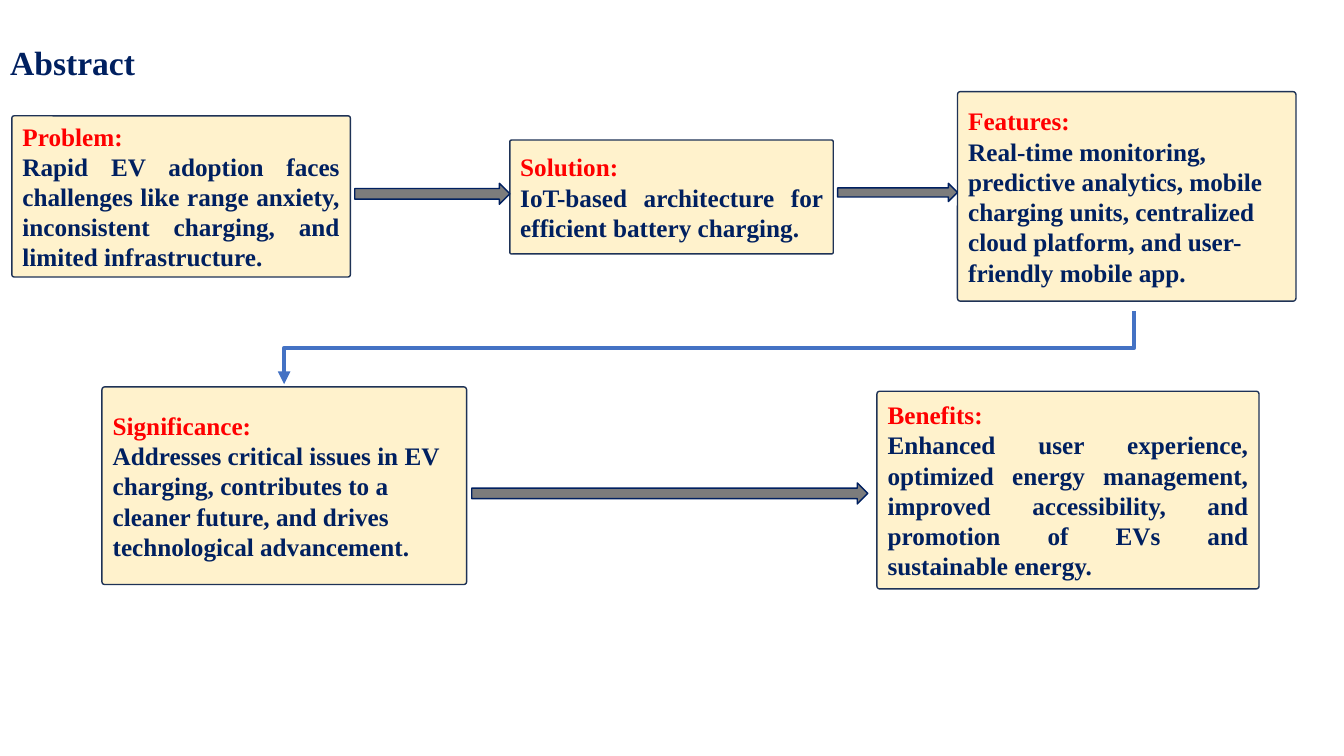
from lxml.etree import SubElement
from pptx import Presentation
from pptx.dml.color import RGBColor
from pptx.enum.shapes import MSO_CONNECTOR, MSO_SHAPE
from pptx.enum.text import MSO_ANCHOR, PP_ALIGN
from pptx.oxml.ns import qn
from pptx.util import Cm, Pt

NAVY, RED, CREAM, EDGE = "002060", "FF0000", "FFF2CC", "1E3256"
GREY, BLUE = "7C7C7C", "4472C4"
LEFT, FULL = PP_ALIGN.LEFT, PP_ALIGN.JUSTIFY


def color(code):
    return RGBColor.from_string(code)


class Board:
    """Style and current slide."""
    face = {"name": "Times New Roman", "bold": True}

    def __init__(self, slide):
        self.slide = slide

    def label(self, para, text, size, code, align=LEFT):
        para.text = text
        para.alignment = align
        for key, value in {**self.face, "size": Pt(size)}.items():
            setattr(para.font, key, value)
        para.font.color.rgb = color(code)

    def title(self, text, *place):
        head = self.slide.shapes.title
        for key, value in zip(("left", "top", "width", "height"), place):
            setattr(head, key, Cm(value))
        head.text_frame.vertical_anchor = MSO_ANCHOR.MIDDLE
        para = head.text_frame.paragraphs[0]
        self.label(para, text, 24, NAVY)
        para.line_spacing = 0.9

    def shape(self, kind, place, fill, edge):
        item = self.slide.shapes.add_shape(kind, *map(Cm, place))
        item.shadow.inherit = False
        item.fill.solid()
        item.fill.fore_color.rgb = color(fill)
        item.line.color.rgb = color(edge)
        item.line.width = Pt(1)
        return item

    def card(self, head, body, align, *place):
        box = self.shape(MSO_SHAPE.ROUNDED_RECTANGLE, place, CREAM, EDGE)
        box.adjustments[0] = 0.014
        frame = box.text_frame
        frame.word_wrap = True
        frame.vertical_anchor = MSO_ANCHOR.MIDDLE
        self.label(frame.paragraphs[0], head, 18, RED)
        self.label(frame.add_paragraph(), body, 18, NAVY, align)

    def arrow(self, *place):
        self.shape(MSO_SHAPE.RIGHT_ARROW, place, GREY, NAVY)

    def bend(self, x1, y1, x2, y2):
        """Elbow that leaves downward: drawn upright, then turned by 90°."""
        midx, midy = (x1 + x2) / 2, (y1 + y2) / 2
        halfw, halfh = (y2 - y1) / 2, (x1 - x2) / 2
        link = self.slide.shapes.add_connector(
            MSO_CONNECTOR.ELBOW, Cm(midx - halfw), Cm(midy - halfh),
            Cm(midx + halfw), Cm(midy + halfh))
        link.line.color.rgb = color(BLUE)
        link.line.width = Pt(3)
        props = link._element.spPr
        props.find(qn("a:xfrm")).set("rot", str(90 * 60000))
        SubElement(props.find(qn("a:ln")), qn("a:tailEnd"), type="triangle")
        SubElement(props, qn("a:effectLst"))


def main():
    deck = Presentation()
    deck.slide_width, deck.slide_height = Cm(33.87), Cm(19.05)
    board = Board(deck.slides.add_slide(deck.slide_layouts[5]))
    board.title("Abstract", 0, 0.84, 3.94, 1.57)

    # Cards
    board.card("Problem:", "Rapid EV adoption faces challenges like range "
               "anxiety, inconsistent charging, and limited infrastructure.",
               FULL, 0.3, 2.92, 8.53, 4.06)
    board.card("Solution:", "IoT-based architecture for efficient battery "
               "charging.", FULL, 12.85, 3.53, 8.15, 2.87)
    board.card("Features:", "Real-time monitoring, predictive analytics, "
               "mobile charging units, centralized cloud platform, and "
               "user-friendly mobile app.", LEFT, 24.13, 2.31, 8.53, 5.28)
    board.card("Significance:", "Addresses critical issues in EV charging, "
               "contributes to a cleaner future, and drives technological "
               "advancement.", LEFT, 2.57, 9.75, 9.19, 4.98)
    board.card("Benefits:", "Enhanced user experience, optimized energy "
               "management, improved accessibility, and promotion of EVs "
               "and sustainable energy.", FULL, 22.1, 9.86, 9.63, 4.98)

    # Flow between the cards
    board.arrow(8.94, 4.62, 3.91, 0.53)
    board.arrow(21.11, 4.62, 3.02, 0.46)
    board.bend(28.58, 7.85, 7.16, 9.68)
    board.arrow(11.89, 12.17, 9.98, 0.53)

    deck.save("out.pptx")


if __name__ == "__main__":
    main()
